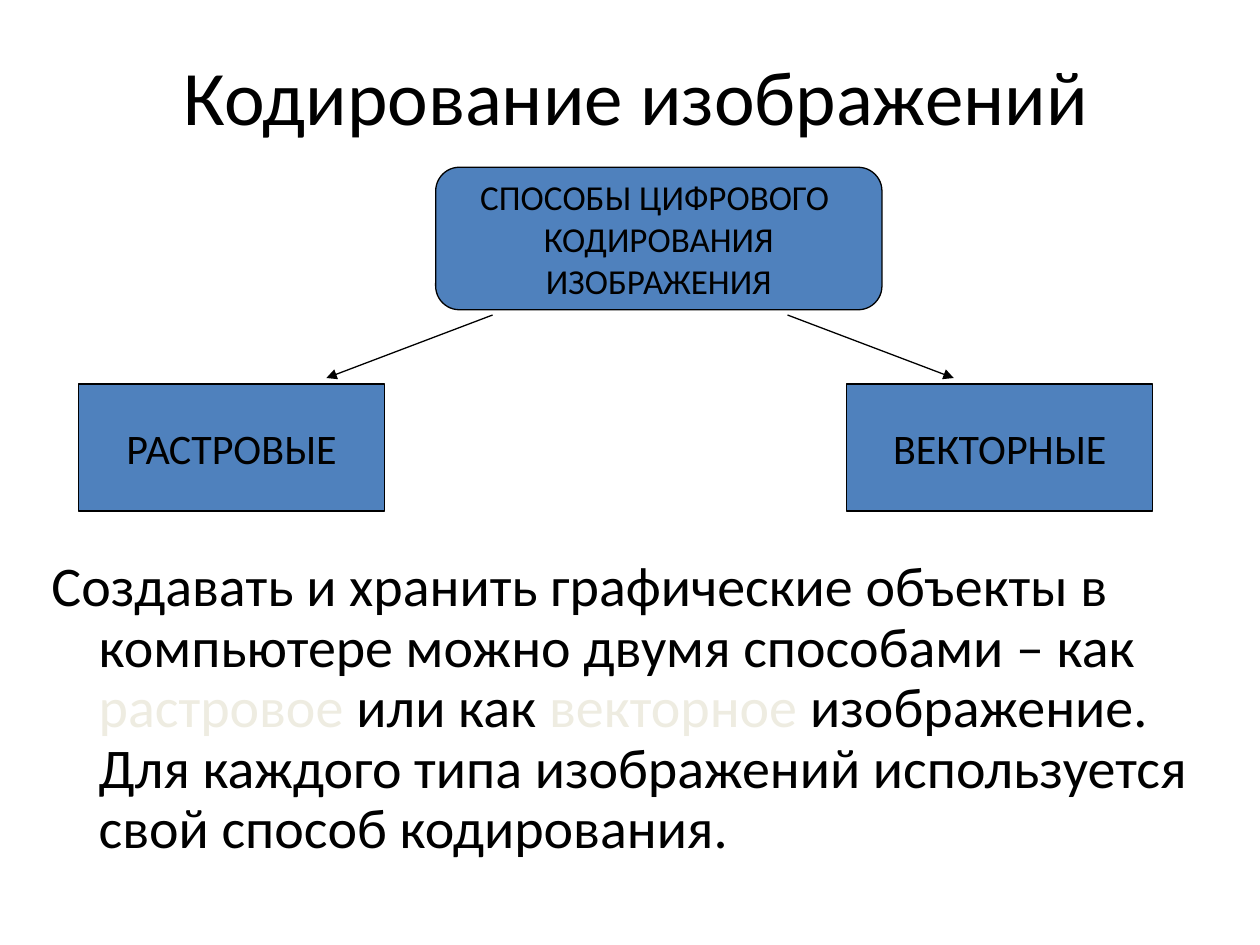
from pptx import Presentation
from pptx.dml.color import RGBColor
from pptx.enum.shapes import MSO_CONNECTOR, MSO_SHAPE
from pptx.enum.text import MSO_ANCHOR, PP_ALIGN
from pptx.oxml.ns import qn
from pptx.util import Pt
from lxml.etree import SubElement

FONT = "Calibri"
BLACK, BLUE, CREAM = "000000", "4F81BD", "EEECE1"


def color(value):
    return RGBColor.from_string(value)


def style_run(r, size, fill=BLACK):
    r.font.name = FONT
    r.font.size = Pt(size)
    r.font.color.rgb = color(fill)


def add_title(s, text):
    tf = s.shapes.add_textbox(Pt(39.6), Pt(0), Pt(648), Pt(108)).text_frame
    tf.word_wrap = True
    tf.vertical_anchor = MSO_ANCHOR.MIDDLE
    p = tf.paragraphs[0]
    p.text = text
    p.alignment = PP_ALIGN.CENTER
    style_run(p.runs[0], 44)


def add_body(s, parts):
    tf = s.shapes.add_textbox(Pt(22.3), Pt(315.4), Pt(697.7), Pt(236)).text_frame
    tf.word_wrap = True
    p = tf.paragraphs[0]
    p.line_spacing = 0.9
    # Hanging indent
    pPr = p._p.get_or_add_pPr()
    pPr.set("marL", str(Pt(27)))
    pPr.set("indent", str(-Pt(27)))
    for text, fill in parts:
        r = p.add_run()
        r.text = text
        style_run(r, 32, fill)


def add_box(s, kind, x, y, w, h, text, size):
    sp = s.shapes.add_shape(kind, Pt(x), Pt(y), Pt(w), Pt(h))
    sp.shadow.inherit = False
    sp.fill.solid()
    sp.fill.fore_color.rgb = color(BLUE)
    sp.line.color.rgb = color(BLACK)
    sp.line.width = Pt(0.75)
    tf = sp.text_frame
    tf.text = text
    tf.word_wrap = False
    tf.vertical_anchor = MSO_ANCHOR.MIDDLE
    for p in tf.paragraphs:
        p.alignment = PP_ALIGN.CENTER
        for r in p.runs:
            style_run(r, size)


def add_arrow(s, x1, y1, x2, y2):
    c = s.shapes.add_connector(MSO_CONNECTOR.STRAIGHT, Pt(x1), Pt(y1), Pt(x2), Pt(y2))
    c.line.color.rgb = color(BLACK)
    c.line.width = Pt(0.75)
    SubElement(c.line._get_or_add_ln(), qn("a:tailEnd"), type="triangle")
    SubElement(c._element.spPr, qn("a:effectLst"))


def main():
    prs = Presentation()
    prs.slide_width, prs.slide_height = Pt(720), Pt(540)
    s = prs.slides.add_slide(prs.slide_layouts[6])

    # Title and explanation
    add_title(s, "Кодирование изображений")
    add_body(s, [
        ("Создавать и хранить графические объекты в компьютере "
         "можно двумя способами – как ", BLACK),
        ("растровое", CREAM),
        (" или как ", BLACK),
        ("векторное ", CREAM),
        ("изображение. Для каждого типа изображений используется "
         "свой способ кодирования.", BLACK),
    ])

    # Root of the diagram
    add_box(s, MSO_SHAPE.ROUNDED_RECTANGLE, 249, 95.6, 255, 81.4,
            "СПОСОБЫ ЦИФРОВОГО \nКОДИРОВАНИЯ\vИЗОБРАЖЕНИЯ", 20)

    # Two branches
    for x, text in ((44.8, "РАСТРОВЫЕ"), (483.8, "ВЕКТОРНЫЕ")):
        add_box(s, MSO_SHAPE.RECTANGLE, x, 219.4, 175, 72.6, text, 24)
    for x1, x2 in ((281.5, 186.5), (450, 545)):
        add_arrow(s, x1, 180, x2, 216)

    prs.save("out.pptx")


if __name__ == "__main__":
    main()
